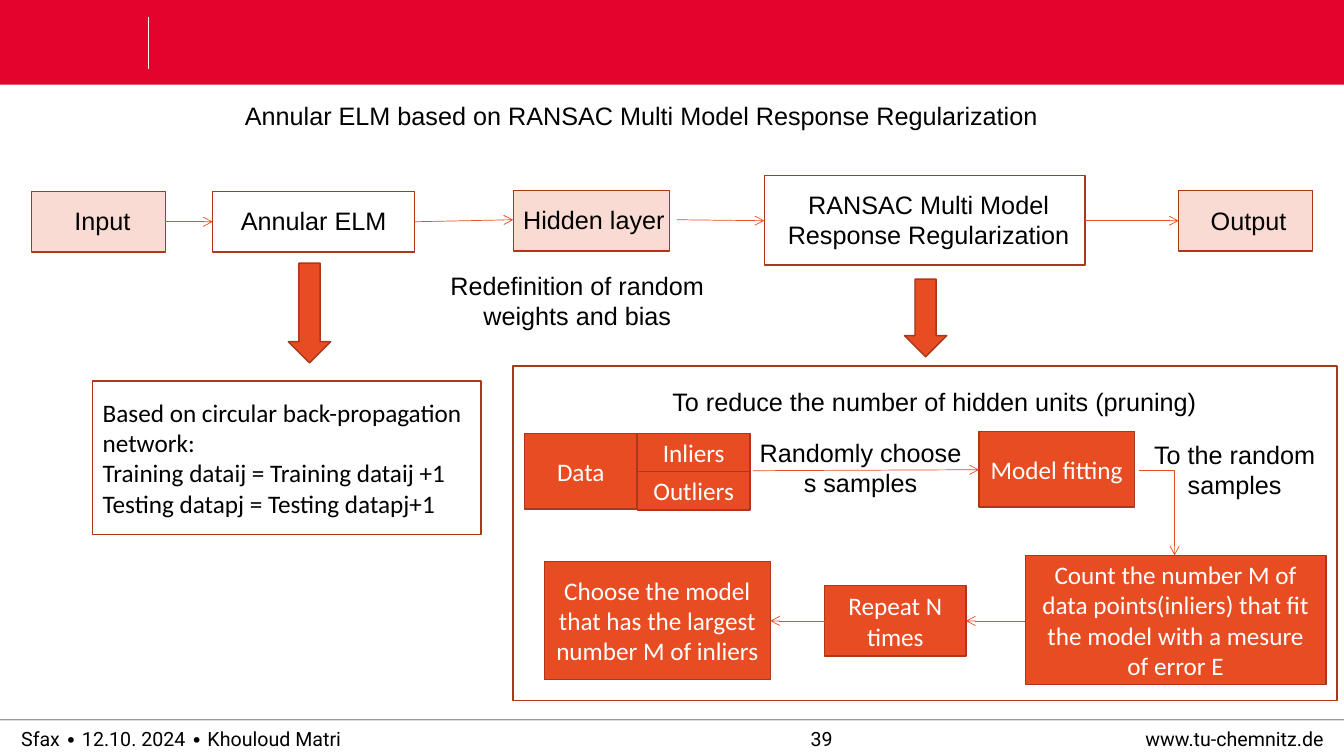
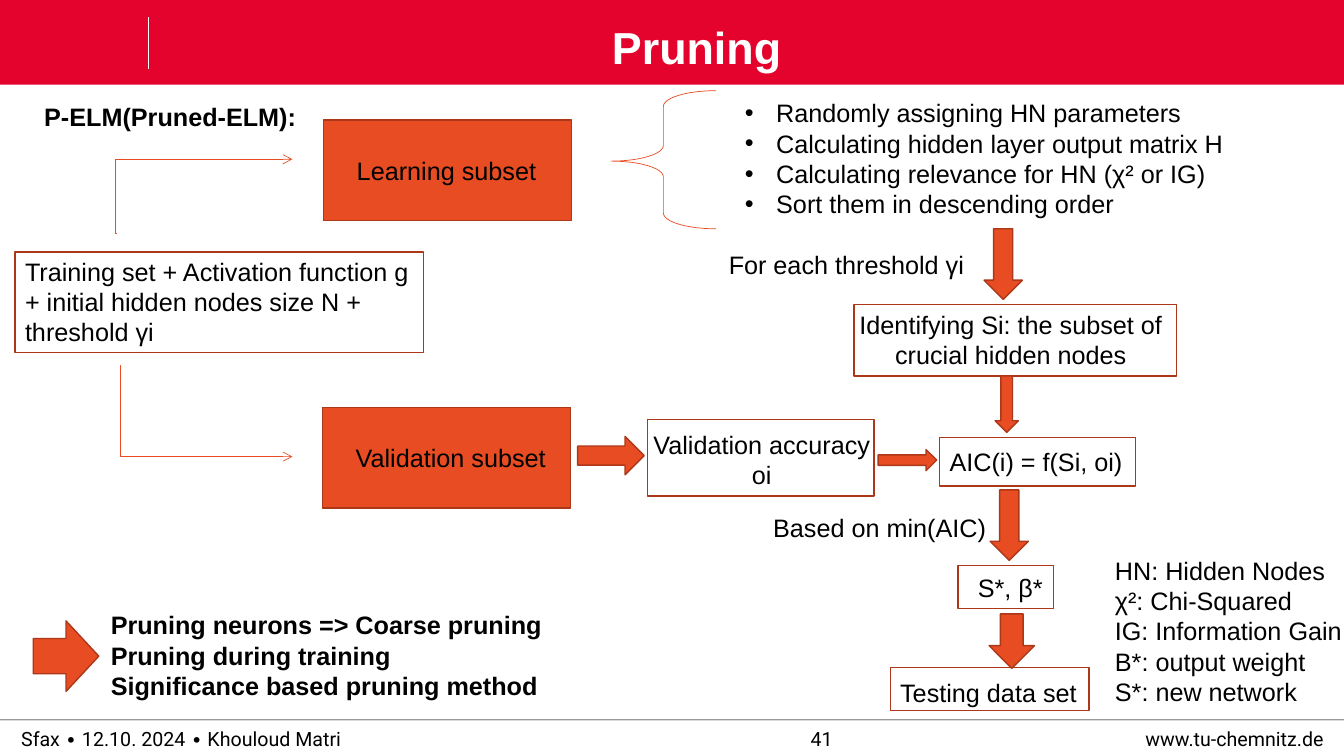
import dataclasses
import lxml.etree
import pptx
import pptx.dml.color
import pptx.enum.shapes
import pptx.enum.text
import pptx.oxml.ns
import pptx.util

Inches = pptx.util.Inches
Pt = pptx.util.Pt
RGB = pptx.dml.color.RGBColor.from_string
qn = pptx.oxml.ns.qn
SHAPE = pptx.enum.shapes.MSO_SHAPE
LINK = pptx.enum.shapes.MSO_CONNECTOR
ANCHOR = pptx.enum.text.MSO_ANCHOR
LEFT = pptx.enum.text.PP_ALIGN.LEFT
MID = pptx.enum.text.PP_ALIGN.CENTER
RIGHT = pptx.enum.text.PP_ALIGN.RIGHT


@dataclasses.dataclass(frozen=True)
class Theme:
    red: str = "E4032D"
    fire: str = "E84C22"
    rust: str = "AC3819"
    blush: str = "FADBD3"
    white: str = "FFFFFF"
    black: str = "000000"
    sans: str = "Arial"
    body: str = "Calibri"
    foot: str = "Roboto"
    title: int = 32
    text: int = 18
    small: int = 14
    edge: float = 1
    thin: float = 0.5


T = Theme()


def add_xml(node, tag, **attrs):
    return lxml.etree.SubElement(node, qn(tag), **attrs)


def write(frame, text, font=T.sans, size=T.text, color=T.black,
          bold=False, align=LEFT, bullet=False):
    frame.text = text
    for para in frame.paragraphs:
        para.alignment = align
        if bullet:
            props = para._p.get_or_add_pPr()
            props.set("marL", str(Inches(0.31)))
            props.set("indent", str(Inches(-0.31)))
            add_xml(props, "a:buFont", typeface=T.sans)
            add_xml(props, "a:buChar", char="•")
        for run in para.runs:
            run.font.name = font
            run.font.size = Pt(size)
            run.font.bold = bold
            run.font.color.rgb = RGB(color)


def label(slide, at, text, wrap=False, bare=False, **style):
    frame = slide.shapes.add_textbox(*map(Inches, at)).text_frame
    frame.word_wrap = wrap
    if bare:
        frame.margin_left = frame.margin_right = 0
        frame.margin_top = frame.margin_bottom = 0
        frame.vertical_anchor = ANCHOR.MIDDLE
    write(frame, text, **style)
    return frame


def shape(slide, at, fill=None, kind=SHAPE.RECTANGLE, line=T.rust, width=T.edge):
    form = slide.shapes.add_shape(kind, *map(Inches, at))
    form.shadow.inherit = False
    if fill:
        form.fill.solid()
        form.fill.fore_color.rgb = RGB(fill)
    else:
        form.fill.background()
    if line:
        form.line.color.rgb = RGB(line)
        form.line.width = Pt(width)
    else:
        form.line.fill.background()
    return form


def box(slide, at, text, fill=T.fire, color=T.white, align=MID):
    frame = shape(slide, at, fill).text_frame
    frame.word_wrap = True
    frame.vertical_anchor = ANCHOR.MIDDLE
    write(frame, text, font=T.body, color=color, align=align)


def rule(slide, ends, color=T.fire, width=T.thin, kind=LINK.STRAIGHT):
    line = slide.shapes.add_connector(kind, *map(Inches, ends))
    line.line.color.rgb = RGB(color)
    line.line.width = Pt(width)
    add_xml(line.element.spPr, "a:effectLst")
    return line


def arrow(slide, ends, kind=LINK.STRAIGHT):
    line = rule(slide, ends, kind=kind)
    add_xml(line.element.spPr.find(qn("a:ln")), "a:tailEnd", type="arrow")
    return line.element.spPr.find(qn("a:prstGeom"))


def bend(slide, ends, turn):
    # turn is the place of the upright part, in 1/100000 of the width
    geom = arrow(slide, ends, LINK.ELBOW)
    add_xml(geom.get_or_add_avLst(), "a:gd", name="adj1", fmla=f"val {turn}")


def base(deck, number, title=None):
    slide = deck.slides.add_slide(deck.slide_layouts[6])
    # Top band
    shape(slide, (0, 0, 13.33, 0.84), T.red, line=None)
    rule(slide, (1.47, 0.17, 1.47, 0.68), T.white)
    if title:
        frame = label(slide, (1.2, 0.24, 11.42, 0.51), title, wrap=True, bare=True,
                      size=T.title, color=T.white, bold=True, align=MID)
        frame.paragraphs[0].line_spacing = 0.9
    # Footer
    line = rule(slide, (0, 7.14, 13.33, 7.14), T.black, T.edge)
    tint = line.element.spPr.find(".//" + qn("a:srgbClr"))
    add_xml(tint, "a:alpha", val="40000")
    for left, width, text, align in (
            (0.21, 6.3, "Sfax ∙ 12.10. 2024 ∙ Khouloud Matri", LEFT),
            (5.09, 6.12, str(number), MID),
            (9.03, 4.1, "www.tu-chemnitz.de", RIGHT)):
        label(slide, (left, 7.14, width, 0.37), text, wrap=True, bare=True,
              font=T.foot, size=T.small, align=align)
    return slide


def ransac(deck):
    slide = base(deck, 39)
    label(slide, (2.33, 0.95, 9.15, 0.4),
          "Annular ELM based on RANSAC Multi Model Response Regularization", wrap=True)

    # Main chain
    for at, fill in (((0.31, 1.9, 1.33, 0.6), T.blush),
                     ((2.11, 1.9, 2, 0.6), T.white),
                     ((5.09, 1.89, 1.55, 0.6), T.blush),
                     ((7.58, 1.74, 3.18, 0.89), T.white),
                     ((11.69, 1.89, 1.33, 0.6), T.blush)):
        shape(slide, at, fill)
    for left, top, width, text in ((0.64, 1.99, 0.76, "Input"),
                                   (2.29, 1.99, 1.66, "Annular ELM"),
                                   (5.09, 1.98, 1.62, "Hidden layer"),
                                   (11.91, 1.99, 0.96, "Output")):
        label(slide, (left, top, width, 0.4), text)
    for at, text in (
            ((7.48, 1.83, 3.46, 0.71), "RANSAC Multi Model Response Regularization"),
            ((4.27, 2.63, 2.91, 0.71), "Redefinition of random weights and bias")):
        label(slide, at, text, wrap=True, align=MID)
    for ends in ((1.64, 2.2, 2.11, 2.2), (4.11, 2.2, 5.09, 2.18),
                 (6.71, 2.18, 7.58, 2.19), (10.76, 2.19, 11.69, 2.19)):
        arrow(slide, ends)
    for at in ((2.86, 2.61, 0.42, 0.99), (8.97, 2.77, 0.42, 0.77)):
        shape(slide, at, T.fire, SHAPE.DOWN_ARROW)

    # Training note
    box(slide, (0.92, 3.78, 3.85, 1.52),
        "Based on circular back-propagation network:\n"
        "Training dataij = Training dataij +1\n"
        "Testing datapj = Testing datapj+1", T.white, T.black, LEFT)

    # Pruning panel
    shape(slide, (5.09, 3.63, 8.17, 3.32), T.white)
    label(slide, (6.57, 3.78, 5.45, 0.4), "To reduce the number of hidden units (pruning)")
    for at, text in (
            ((5.2, 4.3, 1.12, 0.75), "Data"),
            ((6.32, 4.3, 1.12, 0.38), "Inliers"),
            ((6.32, 4.68, 1.12, 0.38), "Outliers"),
            ((9.71, 4.28, 1.54, 0.75), "Model fitting"),
            ((10.17, 5.51, 2.98, 1.28), "Count the number M of data points(inliers) "
             "that fit the model with a mesure of error E"),
            ((8.18, 5.81, 1.4, 0.7), "Repeat N times"),
            ((5.4, 5.57, 2.24, 1.17),
             "Choose the model that has the largest number M of inliers")):
        box(slide, at, text)
    for left, top, width, text in ((7.41, 4.29, 2.25, "Randomly choose s samples"),
                                   (11.3, 4.31, 1.89, "To the random samples")):
        label(slide, (left, top, width, 0.71), text, wrap=True, align=MID)
    for ends in ((7.47, 4.67, 9.71, 4.66), (10.17, 6.16, 9.58, 6.16),
                 (8.18, 6.16, 7.64, 6.16)):
        arrow(slide, ends)
    arrow(slide, (11.3, 4.67, 11.65, 5.51), LINK.ELBOW).set("prst", "bentConnector2")


def pruning(deck):
    slide = base(deck, 41, "Pruning")

    # Solid and outlined boxes
    for left, top in ((3.21, 1.19), (3.2, 4.04)):
        shape(slide, (left, top, 2.46, 1), T.fire)
    for at in ((0.15, 2.5, 4.05, 1), (6.42, 4.16, 2.25, 0.76), (8.47, 3.02, 3.2, 0.71),
               (9.32, 4.34, 1.94, 0.48), (9.5, 5.61, 0.95, 0.43),
               (8.83, 6.62, 1.97, 0.43)):
        shape(slide, at)

    # One-line labels
    for left, top, width, text in ((3.44, 1.49, 2, "Learning subset"),
                                   (3.43, 4.34, 2.1, "Validation subset"),
                                   (7.13, 2.42, 2.56, "For each threshold γi"),
                                   (9.32, 4.38, 1.93, "AIC(i) = f(Si, oi)"),
                                   (7.57, 5.03, 2.33, "Based on min(AIC)"),
                                   (9.6, 5.63, 0.85, "S*, β*"),
                                   (8.83, 6.67, 1.97, "Testing data set")):
        label(slide, (left, top, width, 0.4), text)

    # Wrapped labels
    for at, text, align in (
            ((0.15, 2.49, 4.2, 1.01), "Training set + Activation function g "
             "+ initial hidden nodes size N + threshold γi", LEFT),
            ((6.28, 4.21, 2.55, 0.71), "Validation accuracy oi", MID),
            ((8.38, 3.02, 3.29, 0.71),
             "Identifying Si: the subset of crucial hidden nodes", MID)):
        label(slide, at, text, wrap=True, align=align)

    # Key points, steps and legend
    label(slide, (0.34, 0.96, 2.73, 0.4), "P-ELM(Pruned-ELM):", bold=True)
    label(slide, (1, 6, 4.59, 1.31),
          "Pruning neurons => Coarse pruning\nPruning during training\n"
          "Significance based pruning method", bold=True)
    label(slide, (7.29, 0.92, 4.99, 1.31),
          "Randomly assigning HN parameters\nCalculating hidden layer output matrix H\n"
          "Calculating relevance for HN (χ² or IG)\nSort them in descending order",
          bullet=True)
    label(slide, (10.96, 5.46, 2.47, 1.62),
          "HN: Hidden Nodes\nχ²: Chi-Squared\nIG: Information Gain\n"
          "Β*: output weight\nS*: new network")

    # Brace and arrows
    brace = shape(slide, (6.06, 0.9, 1.04, 1.37), None, SHAPE.LEFT_BRACE, T.fire, T.thin)
    brace.adjustments[0] = 0.15
    brace.adjustments[1] = 0.51
    for at in ((9.76, 2.27, 0.38, 0.7), (9.87, 3.73, 0.23, 0.56),
               (9.82, 4.86, 0.38, 0.7), (9.81, 6.09, 0.45, 0.54)):
        shape(slide, at, T.fire, SHAPE.DOWN_ARROW)
    for at in ((5.73, 4.33, 0.66, 0.38), (8.71, 4.46, 0.58, 0.21),
               (0.33, 6.16, 0.65, 0.7)):
        shape(slide, at, T.fire, SHAPE.RIGHT_ARROW)
    bend(slide, (1.16, 2.32, 2.9, 1.58), -1100)
    bend(slide, (1.19, 3.62, 2.9, 4.53), 200)


def main():
    deck = pptx.Presentation()
    deck.slide_width = Inches(13.33)
    deck.slide_height = Inches(7.5)
    ransac(deck)
    pruning(deck)
    deck.save("out.pptx")


if __name__ == "__main__":
    main()
